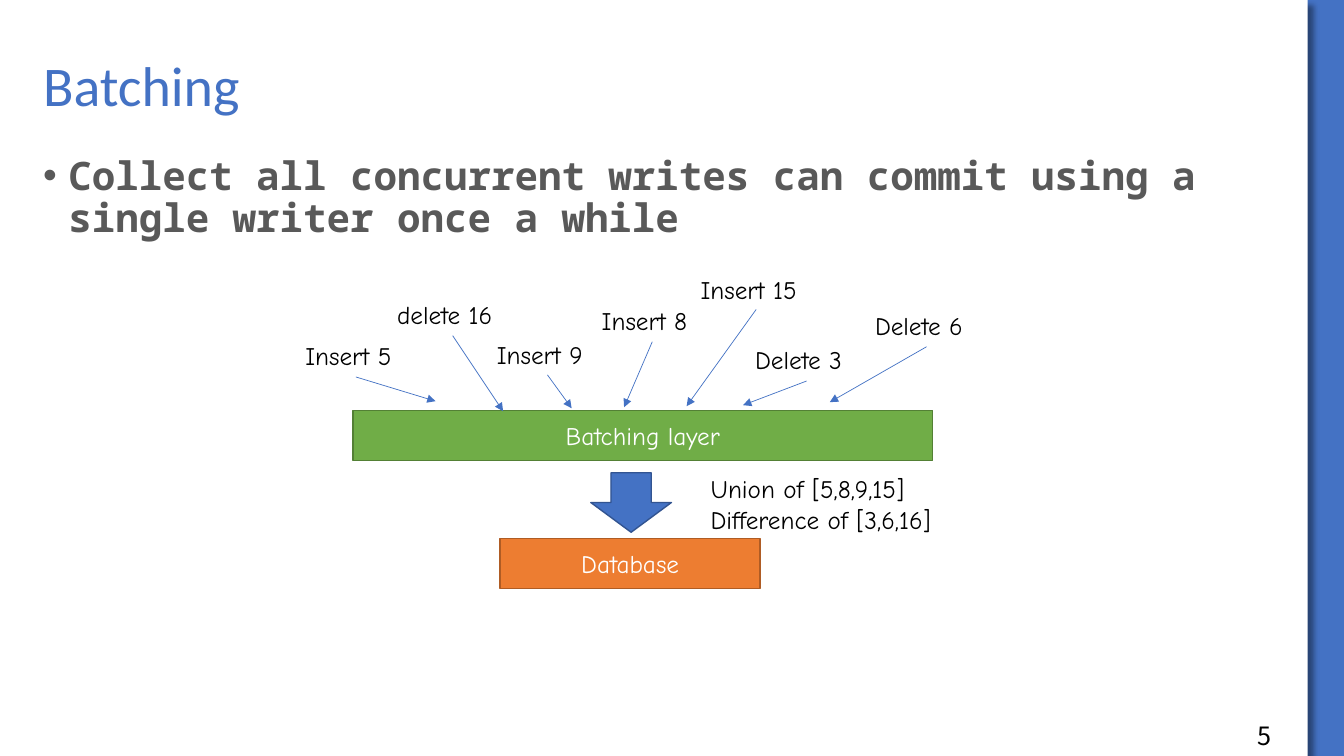
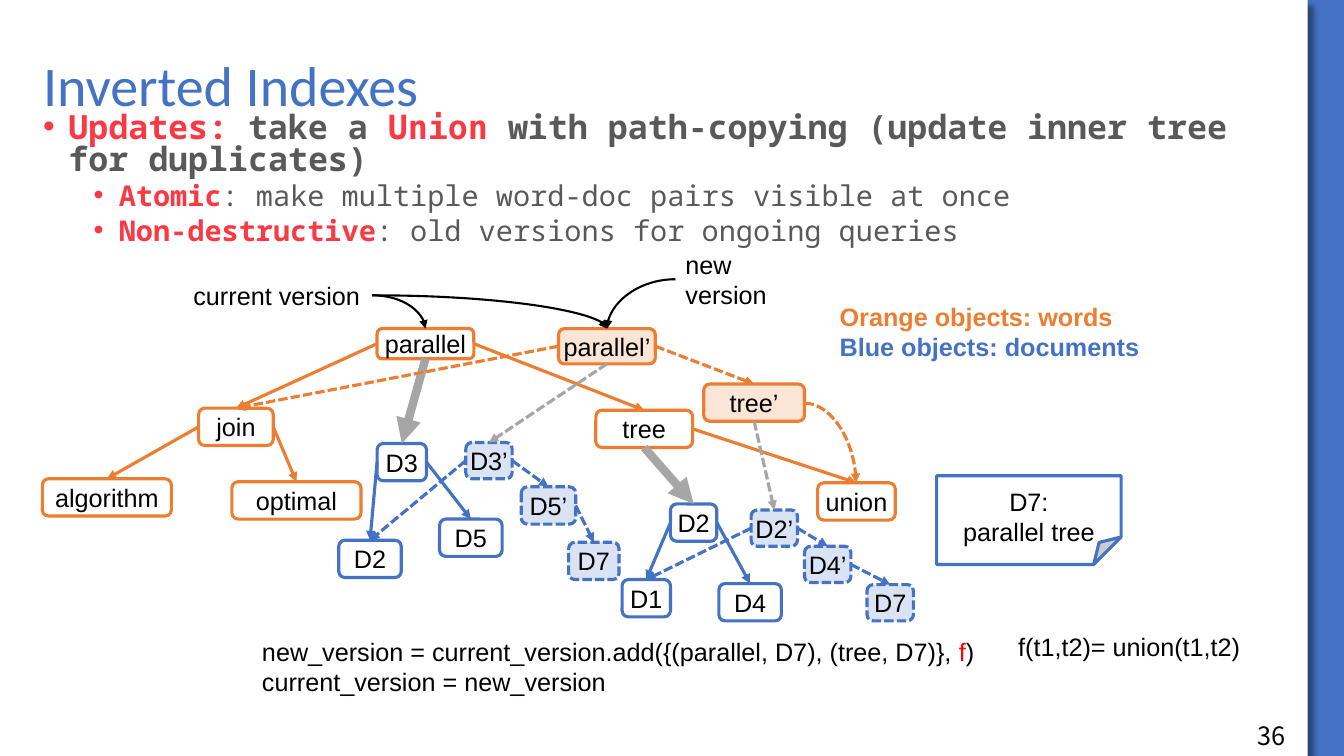
"""Build two slides on batching writes and on versioned inverted indexes."""
import pptx
import pptx.dml.color
import pptx.enum.dml
import pptx.enum.shapes
import pptx.enum.text
import pptx.oxml.ns
import pptx.util
from lxml import etree

PX = 9144
COLORS = {
    "blue": "4472C4", "blue_edge": "325491", "pale_blue": "DAE3F3",
    "orange": "ED7D31", "orange_edge": "AF5C24", "pale_orange": "FBE5D6",
    "green": "70AD47", "green_edge": "538035", "gray": "A6A6A6",
    "text": "595959", "accent": "F93943", "red": "FF0000",
    "black": "000000", "white": "FFFFFF",
}
RGB = {name: pptx.dml.color.RGBColor.from_string(c) for name, c in COLORS.items()}
SHAPE = pptx.enum.shapes.MSO_SHAPE
CONNECTOR = pptx.enum.shapes.MSO_CONNECTOR
MIDDLE = pptx.enum.text.MSO_ANCHOR.MIDDLE
CENTER = pptx.enum.text.PP_ALIGN.CENTER
DASH = pptx.enum.dml.MSO_LINE.SQUARE_DOT
MONO = "Noto Sans Mono"
HAND = "Comic Neue"
qn = pptx.oxml.ns.qn


def add_box(s, kind, box, text="", font="Arial", size=18, color="black",
            fill=None, line=None, width=1, dashed=False, wrap=True):
    box = [v * PX for v in box]
    sp = s.shapes.add_textbox(*box) if kind is None else s.shapes.add_shape(kind, *box)
    tf = sp.text_frame
    tf.word_wrap = wrap
    if not wrap:
        tf.auto_size = pptx.enum.text.MSO_AUTO_SIZE.SHAPE_TO_FIT_TEXT
    if kind is not None:
        sp.shadow.inherit = False
        sp.fill.solid()
        sp.fill.fore_color.rgb = RGB[fill]
        if line:
            sp.line.color.rgb = RGB[line]
            sp.line.width = pptx.util.Pt(width)
            if dashed:
                sp.line.dash_style = DASH
        else:
            sp.line.fill.background()
        tf.vertical_anchor = MIDDLE
    tf.text = text
    for p in tf.paragraphs:
        if kind is not None:
            p.alignment = CENTER
        for r in p.runs:
            r.font.name = font
            r.font.size = pptx.util.Pt(size)
            r.font.color.rgb = RGB[color]
    return sp


def add_arrow(s, start, end, color, width, dashed=False, curved=False):
    kind = CONNECTOR.CURVE if curved else CONNECTOR.STRAIGHT
    c = s.shapes.add_connector(kind, *[v * PX for v in (*start, *end)])
    c.line.color.rgb = RGB[color]
    c.line.width = pptx.util.Pt(width)
    if dashed:
        c.line.dash_style = DASH
    sp_pr = c.element.spPr
    if curved:
        sp_pr.find(qn("a:prstGeom")).set("prst", "curvedConnector2")
    etree.SubElement(sp_pr.find(qn("a:ln")), qn("a:tailEnd"), type="triangle")
    etree.SubElement(sp_pr, qn("a:effectLst"))
    return c


prs = pptx.Presentation()
prs.slide_width = 1333 * PX
prs.slide_height = 750 * PX
blank = prs.slide_layouts[6]
bg = prs.slide_master.background.fill
bg.solid()
bg.fore_color.rgb = RGB["blue"]
for ph in list(blank.placeholders):
    blank.shapes.element.remove(ph.element)

batching = prs.slides.add_slide(blank)
indexes = prs.slides.add_slide(blank)

page = add_box(batching, SHAPE.RECTANGLE, (0, 0, 1297, 750), fill="white")
shadow = etree.SubElement(
    page.element.spPr.find(qn("a:effectLst")), qn("a:outerShdw"),
    blurRad=str(pptx.util.Pt(4)), dist=str(pptx.util.Pt(6)), dir="2700000", algn="tl", rotWithShape="0")
shade = etree.SubElement(shadow, qn("a:srgbClr"), val=COLORS["black"])
etree.SubElement(shade, qn("a:alpha"), val="40000")
blank.shapes.element.append(page.element)

frames = [
    (batching, "Batching", "5", (33, 150, 1233, 283), 0.9, [
        (0, 28, 6, [("Collect all concurrent writes can commit using a single writer once a while",
                     "text", True, MONO)]),
    ]),
    (indexes, "Inverted Indexes", "36", (33, 108, 1258, 135), 0.8, [
        (0, 23.8, 6, [("Updates: ", "accent", True, MONO),
                      ("take a", "text", True, MONO),
                      (" Union ", "accent", True, "DejaVu Sans Mono"),
                      ("with path-copying (update inner tree for duplicates)", "text", True, MONO)]),
        (1, 20.4, 5, [("Atomic", "accent", True, MONO),
                      (": make multiple word-doc pairs visible at once", "text", False, MONO)]),
        (1, 20.4, 5, [("Non-destructive", "accent", True, MONO),
                      (": old versions for ongoing queries", "text", False, MONO)]),
    ]),
]
for s, title, number, body_box, spacing, bullets in frames:
    sp = add_box(s, None, (33, 50, 1233, 75), title, "Calibri", 40, "blue")
    sp.text_frame.vertical_anchor = MIDDLE
    sp.text_frame.paragraphs[0].line_spacing = 0.9
    add_box(s, None, (1237, 710, 86, 40), number, "Noto Sans CJK SC")
    tf = add_box(s, None, body_box).text_frame
    for i, (level, size, before, runs) in enumerate(bullets):
        p = tf.add_paragraph() if i else tf.paragraphs[0]
        p.level = level
        p.line_spacing = spacing
        p.space_before = pptx.util.Pt(before)
        p_pr = p._p.get_or_add_pPr()
        p_pr.set("marL", str((25 + 50 * level) * PX))
        p_pr.set("indent", str(-25 * PX))
        etree.SubElement(p_pr, qn("a:buFont"), typeface="Arial")
        etree.SubElement(p_pr, qn("a:buChar"), char="•")
        for text, color, bold, font in runs:
            r = p.add_run()
            r.text = text
            r.font.name = font
            r.font.size = pptx.util.Pt(size)
            r.font.bold = bold
            r.font.color.rgb = RGB[color]

s = batching
add_box(s, SHAPE.RECTANGLE, (350, 407, 575, 50), "Batching layer", HAND, 18, "white",
        "green", "green_edge")
add_box(s, SHAPE.DOWN_ARROW, (586, 469, 80, 59), fill="blue", line="blue_edge")
add_box(s, SHAPE.RECTANGLE, (496, 534, 258, 50), "Database", HAND, 18, "white",
        "orange", "orange_edge")
add_box(s, None, (695, 465, 283, 71), "Union of [5,8,9,15]\nDifference of [3,6,16]", HAND, wrap=False)
requests = [
    ("Insert 5", (293, 333, 120, 40), (353, 374), (432, 398)),
    ("delete 16", (384, 292, 130, 40), (449, 333), (499, 408)),
    ("Insert 9", (483, 332, 120, 40), (543, 372), (567, 405)),
    ("Insert 8", (587, 298, 120, 40), (647, 339), (619, 404)),
    ("Insert 15", (685, 267, 132, 40), (750, 307), (681, 403)),
    ("Delete 3", (739, 337, 122, 40), (800, 378), (737, 402)),
    ("Delete 6", (858, 303, 122, 40), (919, 344), (823, 399)),
]
for text, box, start, end in requests:
    add_box(s, None, box, text, HAND, wrap=False)
    add_arrow(s, start, end, "blue", 0.5)

s = indexes
node_styles = {
    "word": ("white", "orange", False),
    "new word": ("pale_orange", "orange", False),
    "doc": ("white", "blue", False),
    "new doc": ("pale_blue", "blue", True),
}
nodes = [
    ("parallel", "parallel", "word", (374, 326, 96, 30)),
    ("join", "join", "word", (197, 405, 74, 37)),
    ("tree", "tree", "word", (591, 407, 96, 37)),
    ("algorithm", "algorithm", "word", (42, 475, 128, 37)),
    ("optimal", "optimal", "word", (230, 478, 128, 37)),
    ("union", "union", "word", (811, 479, 77, 37)),
    ("parallel’", "parallel’", "new word", (554, 326, 96, 35)),
    ("tree’", "tree’", "new word", (698, 381, 100, 37)),
    ("D3", "D3", "doc", (374, 440, 49, 37)),
    ("D3 left", "D2", "doc", (336, 536, 62, 37)),
    ("D5", "D5", "doc", (436, 515, 62, 37)),
    ("D2", "D2", "doc", (665, 500, 46, 37)),
    ("D1", "D1", "doc", (617, 575, 48, 37)),
    ("D4", "D4", "doc", (713, 579, 62, 37)),
    ("D3’", "D3’", "new doc", (462, 439, 46, 36)),
    ("D5’", "D5’", "new doc", (517, 483, 54, 37)),
    ("D5’ right", "D7", "new doc", (564, 538, 50, 37)),
    ("D2’", "D2’", "new doc", (745, 506, 46, 36)),
    ("D4’", "D4’", "new doc", (798, 542, 46, 36)),
    ("D4’ right", "D7", "new doc", (860, 580, 46, 36)),
]
placed = {}
for key, text, style, box in nodes:
    fill, line, dashed = node_styles[style]
    sp = add_box(s, SHAPE.ROUNDED_RECTANGLE, box, text, fill=fill, line=line, width=2.25, dashed=dashed)
    tf = sp.text_frame
    tf.margin_left = tf.margin_right = tf.margin_top = tf.margin_bottom = 0
    placed[key] = sp

TOP, LEFT, BOTTOM, RIGHT = range(4)
edges = [
    ("orange", 2.25, False, [
        ("parallel", LEFT, "join"), ("parallel", RIGHT, "tree"), ("join", LEFT, "algorithm"),
        ("join", RIGHT, "optimal"), ("tree", RIGHT, "union")]),
    ("blue", 2.25, False, [
        ("D2", LEFT, "D1"), ("D2", RIGHT, "D4"), ("D3", LEFT, "D3 left"), ("D3", RIGHT, "D5")]),
    ("gray", 6, False, [("parallel", BOTTOM, "D3"), ("tree", BOTTOM, "D2")]),
    ("blue", 2.25, True, [
        ("D3’", LEFT, "D3 left"), ("D3’", RIGHT, "D5’"), ("D5’", RIGHT, "D5’ right"),
        ("D2’", LEFT, "D1"), ("D2’", RIGHT, "D4’"), ("D4’", RIGHT, "D4’ right")]),
    ("gray", 2.25, True, [("parallel’", BOTTOM, "D3’"), ("tree’", BOTTOM, "D2’")]),
    ("orange", 2.25, True, [("parallel’", RIGHT, "tree’"), ("parallel’", LEFT, "join")]),
]
for color, width, dashed, links in edges:
    for parent, side, child in links:
        c = add_arrow(s, (0, 0), (0, 0), color, width, dashed)
        c.begin_connect(placed[parent], side)
        c.end_connect(placed[child], TOP)

add_arrow(s, (798, 400), (849, 479), "orange", 2.25, dashed=True, curved=True)
for start, end in [((369, 293), (422, 326)), ((369, 293), (602, 326)), ((670, 277), (602, 326))]:
    add_arrow(s, start, end, "black", 1.5, curved=True)

note = add_box(s, SHAPE.FOLDED_CORNER, (929, 472, 183, 88), "D7:\nparallel tree",
               fill="white", line="blue", width=2.25)
geometry = note.element.spPr.find(qn("a:prstGeom"))
etree.SubElement(geometry.find(qn("a:avLst")), qn("a:gd"), name="adj", fmla="val 31000")
tf = note.text_frame
tf.margin_left = tf.margin_right = 4 * PX
tf.margin_top = 20 * PX
tf.margin_bottom = 0

add_box(s, None, (182, 273, 187, 40), "current version", wrap=False)
add_box(s, None, (670, 242, 111, 71), "new version")
add_box(s, None, (1000, 621, 242, 40), "f(t1,t2)= union(t1,t2)", wrap=False)

legend = add_box(s, None, (823, 294, 320, 71), "Orange objects: words\nBlue objects: documents", wrap=False)
for p, color in zip(legend.text_frame.paragraphs, ("orange", "blue")):
    p.runs[0].font.bold = True
    p.runs[0].font.color.rgb = RGB[color]

code = add_box(
    s, None, (250, 626, 738, 71),
    "new_version = current_version.add({(parallel, D7), (tree, D7)}, \ncurrent_version = new_version",
    wrap=False)
for text, color in (("f", "red"), (")", "black")):
    r = code.text_frame.paragraphs[0].add_run()
    r.text = text
    r.font.name = "Arial"
    r.font.size = pptx.util.Pt(18)
    r.font.color.rgb = RGB[color]

prs.save("out.pptx")
